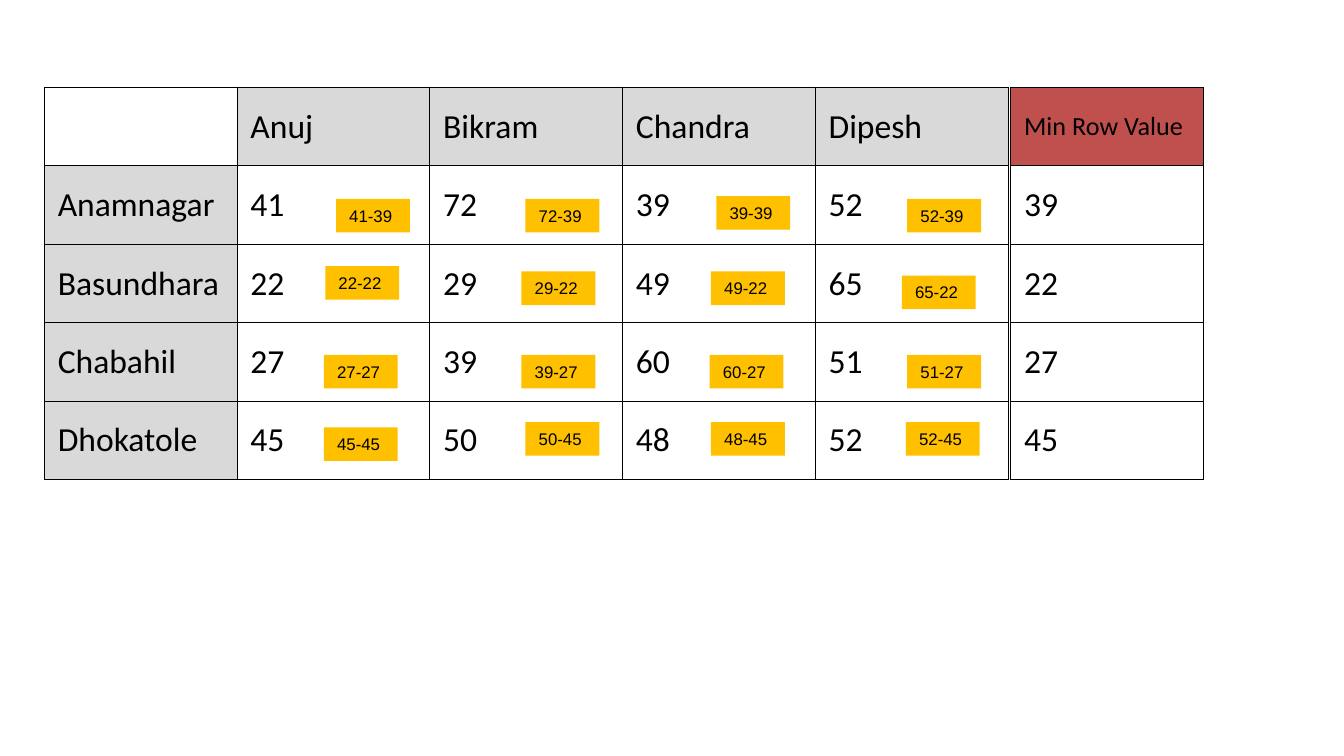
from lxml.etree import SubElement
from pptx import Presentation
from pptx.dml.color import RGBColor
from pptx.enum.shapes import MSO_SHAPE
from pptx.enum.text import MSO_ANCHOR, PP_ALIGN
from pptx.oxml.ns import qn
from pptx.util import Inches, Pt

BLACK, GREY, RED, AMBER = "000000", "D9D9D9", "C0504D", "FFC000"
PEOPLE = ["Anuj", "Bikram", "Chandra", "Dipesh"]
COSTS = {
    "Anamnagar": [41, 72, 39, 52],
    "Basundhara": [22, 29, 49, 65],
    "Chabahil": [27, 39, 60, 51],
    "Dhokatole": [45, 50, 48, 52],
}
# Left and top of each subtraction tag, one row per place
TAG_POSITIONS = [
    [(2.5, 1.48), (3.91, 1.48), (5.33, 1.46), (6.75, 1.48)],
    [(2.42, 1.98), (3.88, 2.02), (5.29, 2.02), (6.71, 2.05)],
    [(2.41, 2.64), (3.88, 2.64), (5.28, 2.64), (6.75, 2.64)],
    [(2.41, 3.18), (3.91, 3.14), (5.29, 3.14), (6.74, 3.14)],
]


def rgb(color):
    return RGBColor.from_string(color)


def paint(fill, color):
    """Fill with a colour, or leave unfilled for None."""
    if color:
        fill.solid()
        fill.fore_color.rgb = rgb(color)
    else:
        fill.background()


def write(tf, text, size, font):
    p = tf.paragraphs[0]
    p.alignment = PP_ALIGN.LEFT
    r = p.add_run()
    r.text = text
    for name, value in {"size": Pt(size), "name": font}.items():
        setattr(r.font, name, value)
    r.font.color.rgb = rgb(BLACK)


def add_borders(cell):
    tc_pr = cell._tc.get_or_add_tcPr()
    for side in ("a:lnL", "a:lnR", "a:lnT", "a:lnB"):
        ln = SubElement(tc_pr, qn(side), w=str(Pt(0.45)))
        fill = SubElement(ln, qn("a:solidFill"))
        SubElement(fill, qn("a:srgbClr"), val=BLACK)


def add_grid(s, left, width, rows, style):
    """Add a bordered table; style(row, col) gives a cell's fill and text size."""
    shape = s.shapes.add_table(len(rows), len(rows[0]), Inches(left), Inches(0.65),
                               Inches(width), Inches(2.92))
    table = shape.table
    table.first_row = table.horz_banding = False
    for i, row in enumerate(rows):
        for j, text in enumerate(row):
            cell = table.cell(i, j)
            color, size = style(i, j)
            add_borders(cell)
            paint(cell.fill, color)
            cell.vertical_anchor = MSO_ANCHOR.MIDDLE
            if text:
                write(cell.text_frame, text, size, "Calibri")


def add_tag(s, left, top, text):
    sp = s.shapes.add_shape(MSO_SHAPE.RECTANGLE, Inches(left), Inches(top),
                            Inches(0.55), Inches(0.25))
    sp.shadow.inherit = False
    sp.line.fill.background()
    paint(sp.fill, AMBER)
    tf = sp.text_frame
    tf.word_wrap = True
    tf.vertical_anchor = MSO_ANCHOR.TOP
    write(tf, text, 9, "Arial")


def cost_style(row, col):
    is_header = (row == 0) != (col == 0)
    return (GREY if is_header else None), 18


def minimum_style(row, col):
    return (RED, 14) if row == 0 else (None, 18)


def main():
    prs = Presentation()
    prs.slide_width = Inches(10)
    prs.slide_height = prs.slide_width * 9 // 16
    s = prs.slides.add_slide(prs.slide_layouts[6])

    cost_rows = [[place, *map(str, costs)] for place, costs in COSTS.items()]
    add_grid(s, 0.33, 7.17, [["", *PEOPLE], *cost_rows], cost_style)
    minimums = [[str(min(costs))] for costs in COSTS.values()]
    add_grid(s, 7.52, 1.43, [["Min Row Value"], *minimums], minimum_style)

    for costs, positions in zip(COSTS.values(), TAG_POSITIONS):
        for cost, (left, top) in zip(costs, positions):
            add_tag(s, left, top, f"{cost}-{min(costs)}")

    prs.save("out.pptx")


if __name__ == "__main__":
    main()
